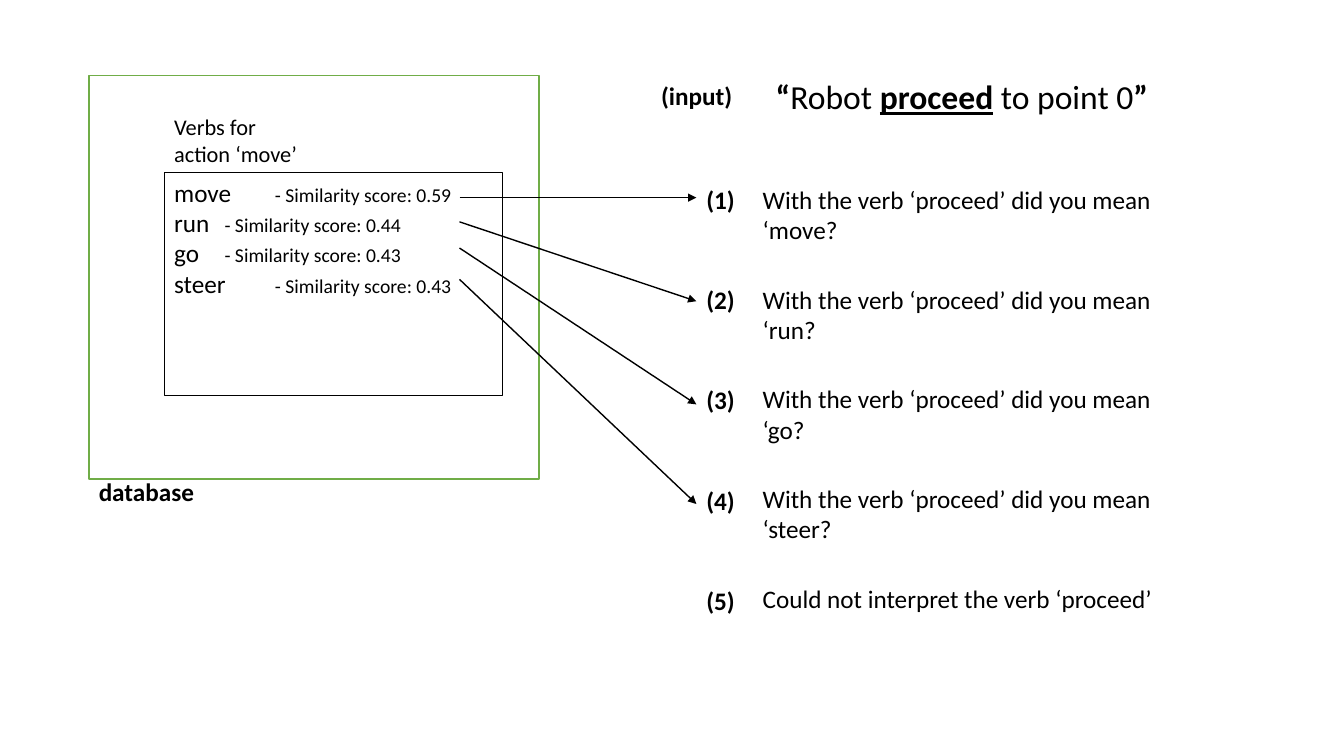
"""Build a slide that maps verb similarity scores to the questions a robot asks."""
from dataclasses import dataclass

from lxml.etree import SubElement
from pptx import Presentation
from pptx.dml.color import RGBColor as Color
from pptx.enum.shapes import MSO_CONNECTOR as Link, MSO_SHAPE as Kind
from pptx.enum.text import MSO_ANCHOR as Anchor, PP_ALIGN as Align
from pptx.oxml.ns import qn
from pptx.util import Cm, Pt


@dataclass(frozen=True)
class Theme:
    font: str = "Calibri"
    ink: Color = Color(0, 0, 0)
    paper: Color = Color(255, 255, 255)
    green: Color = Color(0x70, 0xAD, 0x47)
    head: int = 24
    body: int = 18
    label: int = 16
    small: int = 14


theme = Theme()
deck = Presentation()
deck.slide_width, deck.slide_height = Cm(33.87), Cm(19.05)
slide = deck.slides.add_slide(deck.slide_layouts[6])
shapes = slide.shapes


def write(shape, lines, gap=0, align=Align.LEFT):
    frame = shape.text_frame
    frame.word_wrap = True
    frame.vertical_anchor = Anchor.TOP
    for i, runs in enumerate(lines):
        para = frame.paragraphs[0] if i == 0 else frame.add_paragraph()
        para.alignment = align
        para.space_after = Pt(gap)
        for text, size, bold, under in runs:
            run = para.add_run()
            run.text = text
            font = run.font
            font.name, font.size = theme.font, Pt(size)
            font.bold, font.underline = bold, under
            font.color.rgb = theme.ink
    return frame


def box(place, color, width):
    shape = shapes.add_shape(Kind.RECTANGLE, *map(Cm, place))
    shape.shadow.inherit = False
    shape.fill.background()
    shape.line.color.rgb = color
    shape.line.width = Pt(width)
    return shape


store = box((2.24, 1.91, 11.35, 10.16), theme.green, 1)
store.fill.solid()
store.fill.fore_color.rgb = theme.paper

title = shapes.add_textbox(Cm(18.87), Cm(1.91), Cm(10.74), Cm(2.18))
parts = [("“", True, False), ("Robot ", False, False), ("proceed", True, True),
         (" to point 0", False, False), ("”", True, False)]
frame = write(title, [[(text, theme.head, bold, under) for text, bold, under in parts]],
              align=Align.CENTER)
frame.paragraphs[0].line_spacing = 0.9

verbs = [("move", "0.59", 4.98, 4.98), ("run", "0.44", 5.59, 7.59),
         ("go", "0.43", 6.25, 10.19), ("steer", "0.43", 7.04, 12.7)]
scores = box((4.14, 4.34, 8.53, 5.64), theme.ink, 0.75)
write(scores, [[(verb, theme.body, False, False),
                (f"\t- Similarity score: {score}", theme.small, False, False)]
               for verb, score, *_ in verbs])

asks = [f"With the verb ‘proceed’ did you mean ‘{verb}?" for verb, *_ in verbs]
asks.append("Could not interpret the verb ‘proceed’")
marks = [f"({n})" for n in range(1, len(asks) + 1)]
notes = [
    ((2.24, 11.89, 8.94, 1.02), ["database"], theme.body, True, 0),
    ((4.14, 2.72, 6.32, 1.63), ["Verbs for", "action ‘move’"], theme.label, False, 0),
    ((18.97, 4.52, 10.74, 12.07), asks, theme.body, False, 28),
    ((17.55, 4.52, 1.42, 12.07), marks, theme.body, True, 50),
    ((16.41, 1.91, 4.72, 1.02), ["(input)"], theme.body, True, 0),
]
for place, lines, size, bold, gap in notes:
    note = shapes.add_textbox(*map(Cm, place))
    write(note, [[(text, size, bold, False)] for text in lines], gap)

for _, _, start, end in verbs:
    arrow = shapes.add_connector(Link.STRAIGHT, Cm(11.58), Cm(start), Cm(17.55), Cm(end))
    arrow.line.color.rgb = theme.ink
    arrow.line.width = Pt(1)
    SubElement(arrow.line._get_or_add_ln(), qn("a:tailEnd"), type="triangle")
    SubElement(arrow._element.spPr, qn("a:effectLst"))

deck.save("out.pptx")
